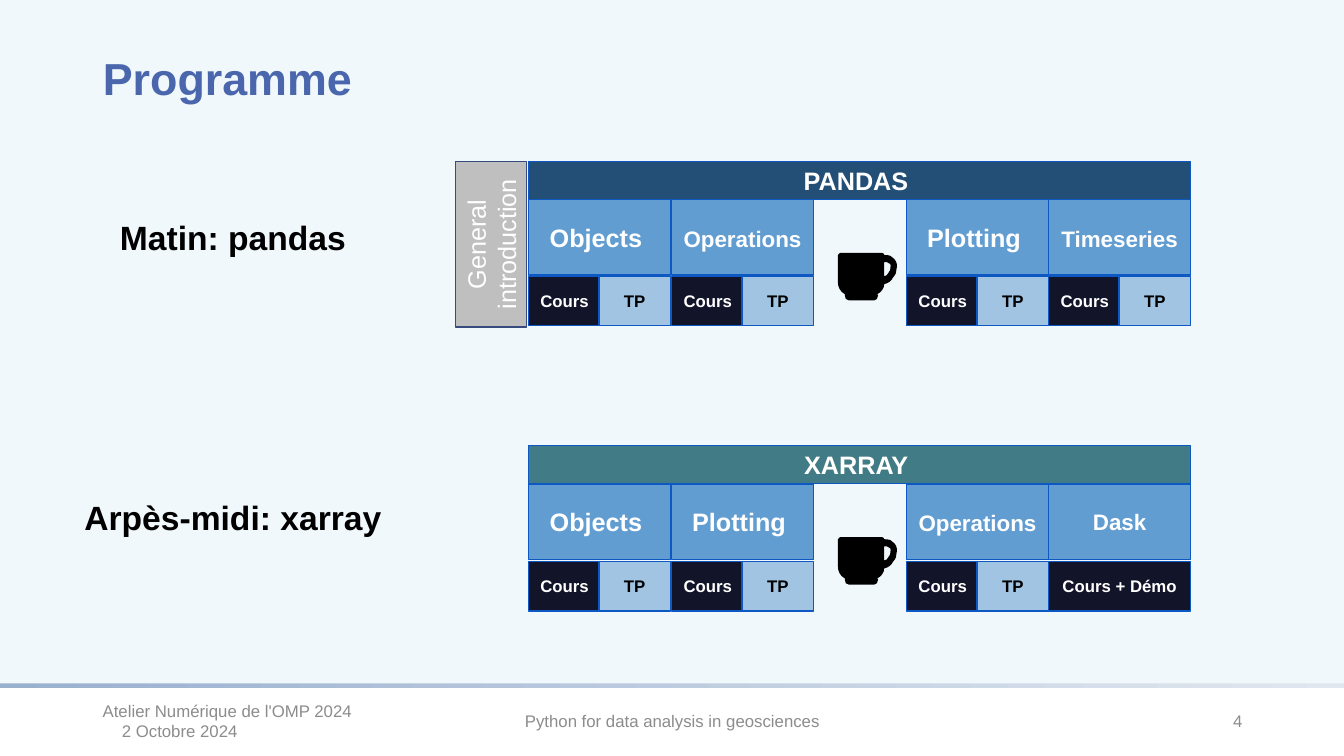
from lxml import etree
from pptx import Presentation
from pptx.dml.color import RGBColor
from pptx.enum.shapes import MSO_SHAPE
from pptx.enum.text import MSO_ANCHOR, PP_ALIGN
from pptx.oxml.ns import qn
from pptx.util import Inches, Pt

RECTANGLE = MSO_SHAPE.RECTANGLE
TOP, MIDDLE = MSO_ANCHOR.TOP, MSO_ANCHOR.MIDDLE
LEFT, CENTER, RIGHT = PP_ALIGN.LEFT, PP_ALIGN.CENTER, PP_ALIGN.RIGHT

WHITE = RGBColor(0xFF, 0xFF, 0xFF)
BLACK = RGBColor(0x00, 0x00, 0x00)
PALE_BLUE = RGBColor(0xF1, 0xF8, 0xFC)
TITLE_BLUE = RGBColor(0x4A, 0x66, 0xAC)
FOOTER_GREY = RGBColor(0x8C, 0x8C, 0x8C)
STRIPE_START = RGBColor(0x99, 0xB0, 0xCF)
STRIPE_END = RGBColor(0xE1, 0xE7, 0xEF)
INTRO_GREY = RGBColor(0xBF, 0xBF, 0xBF)
INTRO_BORDER = RGBColor(0x37, 0x4B, 0x7F)
BORDER_BLUE = RGBColor(0x0E, 0x58, 0xC4)
PANDAS_NAVY = RGBColor(0x23, 0x4F, 0x77)
XARRAY_TEAL = RGBColor(0x41, 0x7B, 0x85)
TOPIC_BLUE = RGBColor(0x62, 0x9D, 0xD1)
LECTURE_NAVY = RGBColor(0x12, 0x14, 0x29)
PRACTICE_BLUE = RGBColor(0xA1, 0xC4, 0xE3)

BLOCK_LEFTS = (5.24, 6.66, 8.99, 10.4)
BLOCK_WIDTH = 1.41
HEADER_HEIGHT = 0.38
TOPIC_HEIGHT = 0.75
FORMAT_HEIGHT = 0.49

HALVES = ("Cours", "TP")
SESSIONS = (
    (1.6, 2.74, "PANDAS ", PANDAS_NAVY, (
        ("Objects ", 18, HALVES), ("Operations ", 16, HALVES),
        ("Plotting ", 18, HALVES), ("Timeseries ", 16, HALVES))),
    (4.42, 5.57, "XARRAY ", XARRAY_TEAL, (
        ("Objects ", 18, HALVES), ("Plotting ", 18, HALVES),
        ("Operations ", 16, HALVES), ("Dask", 16, ("Cours + Démo",)))),
)

# Each segment holds one end point, or two control points and an end point.
CUP_BODY = (
    ((56, 6),), ((54, 3), (51, 2), (46, 2)), ((46, 1), (45, 0), (44, 0)),
    ((2, 0),), ((1, 0), (0, 1), (0, 2)), ((0, 28),),
    ((0, 34), (2, 38), (7, 41)), ((7, 41), (7, 42), (7, 42)),
    ((7, 45), (8, 47), (11, 47)), ((36, 47),),
    ((38, 47), (40, 45), (40, 42)), ((40, 42), (40, 41), (39, 41)),
    ((43, 39), (46, 35), (46, 31)), ((50, 30), (53, 28), (55, 24)),
    ((58, 21), (58, 18), (58, 17)), ((59, 13), (59, 9), (56, 6)),
)
CUP_HANDLE = (
    ((52, 16),), ((52, 16), (52, 18), (50, 20)),
    ((49, 22), (48, 23), (46, 23)), ((46, 9),),
    ((48, 9), (50, 9), (52, 11)), ((52, 12), (53, 13), (52, 16)),
)


def write_text(frame, text, size=18, color=WHITE, bold=False, align=CENTER,
               anchor=MIDDLE, spacing=None, hanging=0, space_size=None):
    """Write one formatted paragraph; space_size sets the size of a final space."""
    frame.word_wrap = True
    frame.vertical_anchor = anchor
    paragraph = frame.paragraphs[0]
    paragraph.alignment = align
    if spacing:
        paragraph.line_spacing = spacing
    if hanging:
        properties = paragraph._p.get_or_add_pPr()
        properties.set("marL", str(Inches(hanging)))
        properties.set("indent", str(-Inches(hanging)))
    pieces = [(text, size)]
    if space_size and text.endswith(" "):
        pieces = [(text[:-1], size), (" ", space_size)]
    for piece, piece_size in pieces:
        run = paragraph.add_run()
        run.text = piece
        run.font.name = "Arial"
        run.font.size = Pt(piece_size)
        run.font.bold = bold
        run.font.color.rgb = color


def cup_point(point):
    """Convert hundredths of an inch to lengths."""
    return tuple(Inches(value / 100) for value in point)


class ProgrammeSlide:
    """Holds the slide and draws its elements in a common style."""

    def __init__(self, presentation):
        self.slide = presentation.slides.add_slide(presentation.slide_layouts[5])
        self.shapes = self.slide.shapes

    def box(self, left, top, width, height, fill, border=None, text=None, **style):
        shape = self.shapes.add_shape(
            RECTANGLE, Inches(left), Inches(top), Inches(width), Inches(height))
        shape.shadow.inherit = False
        shape.fill.solid()
        shape.fill.fore_color.rgb = fill
        if border is None:
            shape.line.fill.background()
        else:
            shape.line.color.rgb = border
            shape.line.width = Pt(1)
        if text:
            write_text(shape.text_frame, text, **style)
        return shape

    def label(self, left, top, width, height, text, **style):
        area = self.shapes.add_textbox(
            Inches(left), Inches(top), Inches(width), Inches(height))
        write_text(area.text_frame, text, **style)
        return area

    def title(self, text):
        heading = self.shapes.title
        heading.left, heading.top = Inches(0.92), Inches(0.4)
        heading.width, heading.height = Inches(11.5), Inches(0.81)
        write_text(heading.text_frame, text, size=32, color=TITLE_BLUE,
                   bold=True, align=LEFT, spacing=0.9)
        self.shapes.element.append(heading.element)

    def backdrop(self):
        stripe = self.box(0, 6.78, 13.33, 0.05, STRIPE_START)
        stripe.fill.gradient()
        stripe.fill.gradient_angle = 0
        for stop, color in zip(stripe.fill.gradient_stops, (STRIPE_START, STRIPE_END)):
            stop.color.rgb = color
        self.box(0, 0, 13.33, 6.78, PALE_BLUE)

    def coffee_break(self, left, top):
        builder = self.shapes.build_freeform(*cup_point(CUP_BODY[0][0]))
        builder.add_line_segments([cup_point(s[-1]) for s in CUP_BODY[1:]], close=True)
        builder.move_to(*cup_point(CUP_HANDLE[0][0]))
        builder.add_line_segments([cup_point(s[-1]) for s in CUP_HANDLE[1:]], close=True)
        cup = builder.convert_to_shape(Inches(left), Inches(top))
        cup.shadow.inherit = False
        cup.fill.solid()
        cup.fill.fore_color.rgb = BLACK
        cup.line.fill.background()
        lines = list(cup.element.iter(qn("a:lnTo")))
        for line, segment in zip(lines, CUP_BODY[1:] + CUP_HANDLE[1:]):
            if len(segment) == 3:
                line.tag = qn("a:cubicBezTo")
                for position, control in enumerate(segment[:2]):
                    x, y = cup_point(control)
                    point = etree.Element(qn("a:pt"), x=str(x), y=str(y))
                    line.insert(position, point)

    def block(self, left, top, format_top, topic, size, formats):
        lecture_width = 0.72 if len(formats) > 1 else BLOCK_WIDTH
        self.box(left, format_top, lecture_width, FORMAT_HEIGHT, LECTURE_NAVY,
                 BORDER_BLUE, formats[0], size=12, bold=True)
        self.box(left, top + HEADER_HEIGHT, BLOCK_WIDTH, TOPIC_HEIGHT, TOPIC_BLUE,
                 BORDER_BLUE, topic, size=size, bold=True, space_size=18)
        for practice in formats[1:]:
            self.box(left + 0.7, format_top, 0.71, FORMAT_HEIGHT, PRACTICE_BLUE,
                     BORDER_BLUE, practice, size=12, color=BLACK, bold=True)

    def session(self, top, format_top, name, color, topics):
        self.box(BLOCK_LEFTS[0], top, 6.57, HEADER_HEIGHT, color, BORDER_BLUE,
                 name, bold=True)
        self.coffee_break(8.31, top + 0.91)
        for left, topic in zip(BLOCK_LEFTS, topics):
            self.block(left, top, format_top, *topic)


def main():
    presentation = Presentation()
    presentation.slide_width, presentation.slide_height = Inches(13.33), Inches(7.5)
    programme = ProgrammeSlide(presentation)
    programme.backdrop()
    programme.title("Programme")

    footer = {"size": 12, "color": FOOTER_GREY}
    event = programme.label(0.92, 6.95, 3, 0.4,
                            "Atelier Numérique de l'OMP 2024 2 Octobre 2024",
                            align=LEFT, hanging=0.19, **footer)
    event.text_frame.margin_right = Inches(0.35)
    programme.label(4.42, 6.95, 4.5, 0.4, "Python for data analysis in geosciences", **footer)
    programme.label(9.42, 6.95, 3, 0.4, "4", align=RIGHT, **footer)

    introduction = programme.box(4.05, 2.07, 1.64, 0.71, INTRO_GREY, INTRO_BORDER,
                                 "General introduction")
    introduction.rotation = 270
    half_day = {"size": 24, "color": BLACK, "bold": True, "anchor": TOP}
    programme.label(0.49, 2.1, 3.64, 0.5, "Matin: pandas", **half_day)
    programme.label(0.71, 4.88, 3.2, 0.5, "Arpès-midi: xarray", **half_day)
    for session in SESSIONS:
        programme.session(*session)
    presentation.save("out.pptx")


if __name__ == "__main__":
    main()
